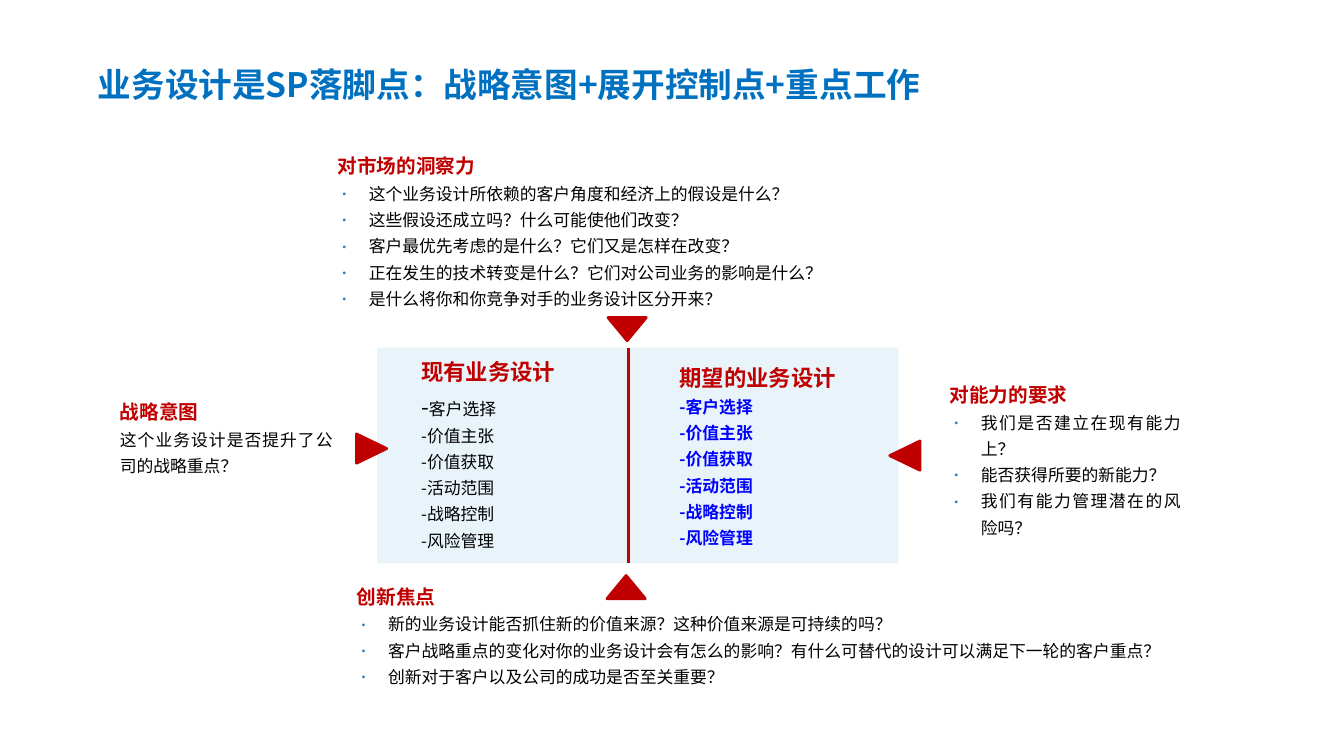
"""Build the slide on business design as the landing point of strategic planning."""
from lxml import etree
from pptx import Presentation
from pptx.dml.color import RGBColor
from pptx.enum import shapes, text
from pptx.oxml import ns
from pptx.util import Inches, Pt

FONT = "Noto Sans CJK SC"
RED = RGBColor(0xC0, 0x00, 0x00)
BLACK = RGBColor(0x00, 0x00, 0x00)
BLUE = RGBColor(0x00, 0x00, 0xFF)
TITLE_BLUE = RGBColor(0x00, 0x70, 0xC0)
PANEL_BLUE = RGBColor(0xE9, 0xF4, 0xFA)
BULLET_BLUE = RGBColor(0x26, 0x7F, 0xC3)

TITLE = "业务设计是SP落脚点：战略意图+展开控制点+重点工作"
TITLE_PLACE = (0.87, 0.64, 9.38, 0.38)
PANEL = (3.74, 3.45, 5.17, 2.14)
DIVIDER_X = 6.23

QUESTIONS = [
    ("对市场的洞察力", (3.25, 1.48, 8.33, 1.64), True, [
        "这个业务设计所依赖的客户角度和经济上的假设是什么？",
        "这些假设还成立吗？什么可能使他们改变？",
        "客户最优先考虑的是什么？它们又是怎样在改变？",
        "正在发生的技术转变是什么？它们对公司业务的影响是什么？",
        "是什么将你和你竞争对手的业务设计区分开来？"]),
    ("战略意图", (1.09, 3.92, 2.31, 0.86), False, [
        "这个业务设计是否提升了公司的战略重点？"]),
    ("对能力的要求", (9.32, 3.75, 2.49, 1.64), True, [
        "我们是否建立在现有能力上？",
        "能否获得所要的新能力？",
        "我们有能力管理潜在的风险吗？"]),
    ("创新焦点", (3.44, 5.75, 8.85, 1.12), True, [
        "新的业务设计能否抓住新的价值来源？这种价值来源是可持续的吗？",
        "客户战略重点的变化对你的业务设计会有怎么的影响？有什么可替代的设计可以满足下一轮的客户重点？",
        "创新对于客户以及公司的成功是否至关重要？"]),
]
ELEMENTS = ["客户选择", "价值主张", "价值获取", "活动范围", "战略控制", "风险管理"]
DESIGNS = [
    ("现有业务设计", (4.08, 3.5, 2.04, 2.03), BLACK, False, 16),
    ("期望的业务设计", (6.64, 3.56, 2.52, 1.94), BLUE, True, 12),
]
ARROWS = [
    ((6.02, 5.71, 0.38, 0.23), 0),
    ((6.03, 3.15, 0.38, 0.23), 180),
    ((8.83, 4.37, 0.29, 0.3), 270),
    ((3.54, 4.3, 0.29, 0.3), 90),
]


def inches(place):
    return [Inches(value) for value in place]


def add_span(para, words, size, color, bold):
    span = para.add_run()
    span.text = words
    for name, value in {"name": FONT, "size": Pt(size), "bold": bold}.items():
        setattr(span.font, name, value)
    span.font.color.rgb = color
    east_asian = etree.SubElement(span.font._element, ns.qn("a:ea"))
    east_asian.set("typeface", FONT)


def add_bullet(para):
    props = para._p.get_or_add_pPr()
    props.set("marL", str(Inches(0.31)))
    props.set("indent", str(-Inches(0.31)))
    color = etree.SubElement(props, ns.qn("a:buClr"))
    etree.SubElement(color, ns.qn("a:srgbClr")).set("val", str(BULLET_BLUE))
    for tag, key, value in [("a:buSzPct", "val", "80000"),
                            ("a:buFont", "typeface", FONT),
                            ("a:buChar", "char", "•")]:
        etree.SubElement(props, ns.qn(tag)).set(key, value)


def add_headed_box(page, heading, place, size):
    frame = page.shapes.add_textbox(*inches(place)).text_frame
    frame.word_wrap = True
    frame.auto_size = text.MSO_AUTO_SIZE.SHAPE_TO_FIT_TEXT
    add_span(frame.paragraphs[0], heading, size, RED, True)
    return frame


def add_line_para(frame):
    para = frame.add_paragraph()
    para.line_spacing = 1.3
    return para


def add_questions(page, heading, place, bulleted, questions):
    frame = add_headed_box(page, heading, place, 14)
    for question in questions:
        para = add_line_para(frame)
        para.alignment = text.PP_ALIGN.JUSTIFY
        if bulleted:
            add_bullet(para)
        add_span(para, question, 12, BLACK, False)


def add_design(page, heading, place, color, bold, first_dash_size):
    frame = add_headed_box(page, heading, place, 16)
    for index, element in enumerate(ELEMENTS):
        para = add_line_para(frame)
        if index == 0 and first_dash_size != 12:
            add_span(para, "-", first_dash_size, color, bold)
            add_span(para, element, 12, color, bold)
        else:
            add_span(para, "-" + element, 12, color, bold)


def add_filled(page, kind, place, color):
    shape = page.shapes.add_shape(kind, *inches(place))
    shape.shadow.inherit = False
    shape.fill.solid()
    shape.fill.fore_color.rgb = color
    shape.line.fill.background()
    return shape


def style_line(line):
    line.color.rgb = RED
    line.width = Pt(2)


def add_title(page):
    title = page.shapes.title
    places = zip(("left", "top", "width", "height"), inches(TITLE_PLACE))
    for name, value in places:
        setattr(title, name, value)
    frame = title.text_frame
    for name, value in {"word_wrap": True,
                        "auto_size": text.MSO_AUTO_SIZE.NONE,
                        "vertical_anchor": text.MSO_ANCHOR.MIDDLE}.items():
        setattr(frame, name, value)
    frame.paragraphs[0].alignment = text.PP_ALIGN.LEFT
    add_span(frame.paragraphs[0], TITLE, 24, TITLE_BLUE, True)


def main():
    deck = Presentation()
    deck.slide_width, deck.slide_height = Inches(13.33), Inches(7.5)
    page = deck.slides.add_slide(deck.slide_layouts[5])
    add_title(page)
    for block in QUESTIONS:
        add_questions(page, *block)
    add_filled(page, shapes.MSO_SHAPE.RECTANGLE, PANEL, PANEL_BLUE)
    top, bottom = PANEL[1], PANEL[1] + PANEL[3]
    divider = page.shapes.add_connector(
        shapes.MSO_CONNECTOR.STRAIGHT,
        *inches((DIVIDER_X, top, DIVIDER_X, bottom)))
    style_line(divider.line)
    etree.SubElement(divider._element.spPr, ns.qn("a:effectLst"))
    for design in DESIGNS:
        add_design(page, *design)
    for place, rotation in ARROWS:
        arrow = add_filled(page, shapes.MSO_SHAPE.ISOSCELES_TRIANGLE, place, RED)
        arrow.rotation = rotation
        style_line(arrow.line)
    deck.save("out.pptx")


if __name__ == "__main__":
    main()
